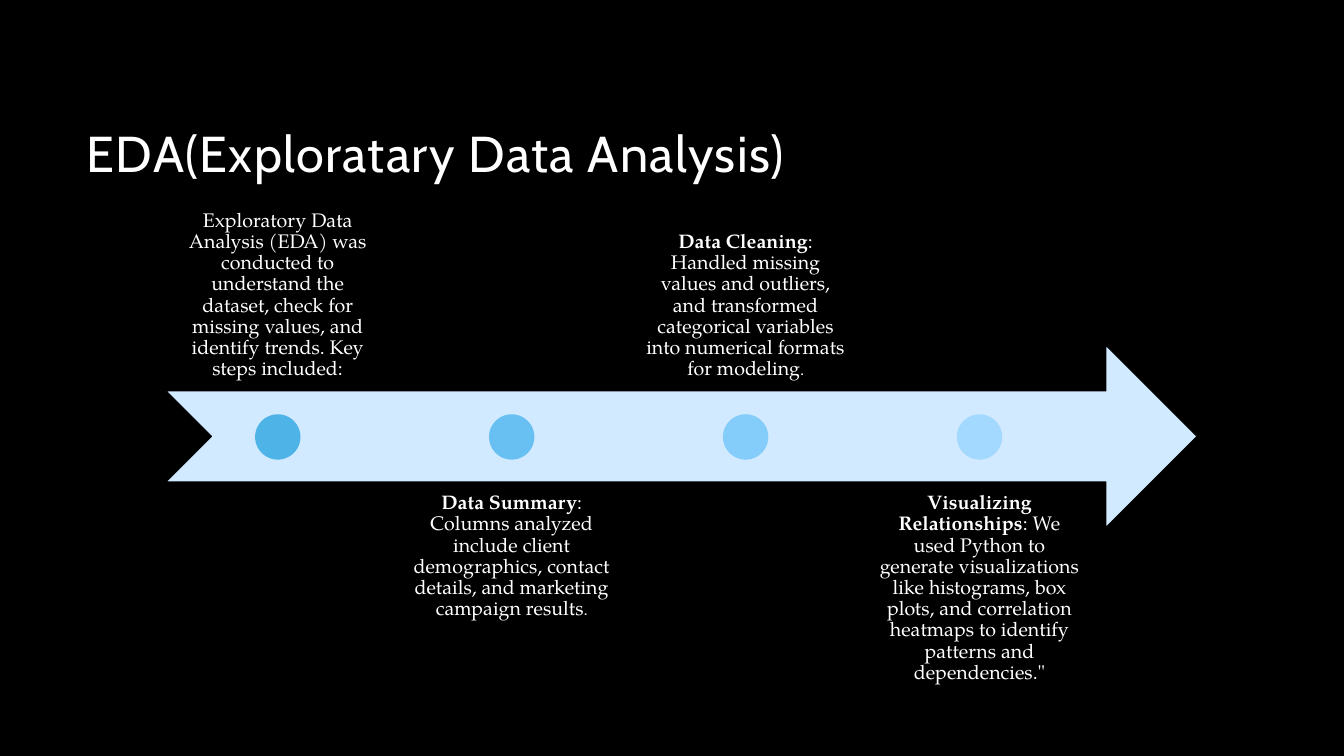
from pptx import Presentation
from pptx.dml.color import RGBColor
from pptx.enum.shapes import MSO_SHAPE
from pptx.enum.text import MSO_ANCHOR, MSO_AUTO_SIZE, PP_ALIGN
from pptx.util import Inches, Pt

ARROW, DOT = MSO_SHAPE.NOTCHED_RIGHT_ARROW, MSO_SHAPE.OVAL
TOP, BOTTOM = MSO_ANCHOR.TOP, MSO_ANCHOR.BOTTOM
LEFT, CENTER = PP_ALIGN.LEFT, PP_ALIGN.CENTER
NO_FIT = MSO_AUTO_SIZE.NONE

COLORS = {"background": "000000", "text": "FFFFFF", "arrow": "D1EAFF"}
HEAD_FONT, BODY_FONT = "Cabin", "TeX Gyre Pagella"

TITLE = "EDA(Exploratary Data Analysis)"
STEPS = [
    ("4EB3E7", "", "Exploratory Data Analysis (EDA) was conducted to understand the "
     "dataset, check for missing values, and identify trends. Key steps included:", ""),
    ("68BFF2", "Data Summary", ": Columns analyzed include client demographics, "
     "contact details, and marketing campaign results", "."),
    ("84CCFA", "Data Cleaning", ": Handled missing values and outliers, and transformed "
     "categorical variables into numerical formats for modeling", "."),
    ("A4D9FF", "Visualizing Relationships", ": We used Python to generate visualizations "
     "like histograms, box plots, and correlation heatmaps to identify patterns and "
     "dependencies.\"", ""),
]

ARROW_LEFT, ARROW_TOP, ARROW_W, ARROW_H = 1.65, 3.43, 10.22, 1.8
TEXT_W, TEXT_H, TEXT_PITCH = 2.21, 1.8, 2.32
TEXT_ABOVE, TEXT_BELOW = 2.08, 4.78
DOT_SIZE, DOT_TOP = 0.45, 4.11
INSET = 0.11


def rgb(hex_color):
    return RGBColor.from_string(hex_color)


def add_run(p, text, size, font, bold=False):
    r = p.add_run()
    r.text = text
    r.font.size = Pt(size)
    r.font.name = font
    r.font.bold = bold
    r.font.color.rgb = rgb(COLORS["text"])
    return r


def set_frame(tf, anchor, align):
    tf.word_wrap = True
    tf.auto_size = NO_FIT
    tf.vertical_anchor = anchor
    p = tf.paragraphs[0]
    p.alignment = align
    p.line_spacing = 0.9
    return p


def add_filled(s, kind, box, color):
    sp = s.shapes.add_shape(kind, *map(Inches, box))
    sp.shadow.inherit = False
    sp.fill.solid()
    sp.fill.fore_color.rgb = rgb(color)
    sp.line.fill.background()
    return sp


def add_step(s, i, color, lead, body, stop):
    left = ARROW_LEFT + i * TEXT_PITCH
    above = i % 2 == 0
    top = TEXT_ABOVE if above else TEXT_BELOW
    tf = s.shapes.add_textbox(*map(Inches, (left, top, TEXT_W, TEXT_H))).text_frame
    tf.margin_left = tf.margin_right = tf.margin_top = tf.margin_bottom = Inches(INSET)
    p = set_frame(tf, BOTTOM if above else TOP, CENTER)
    if lead:
        add_run(p, lead, 14, BODY_FONT, True)
    add_run(p, body, 14, BODY_FONT)
    if stop:
        add_run(p, stop, 13, HEAD_FONT)
    dot_left = left + (TEXT_W - DOT_SIZE) / 2
    add_filled(s, DOT, (dot_left, DOT_TOP, DOT_SIZE, DOT_SIZE), color)


def main():
    prs = Presentation()
    prs.slide_width, prs.slide_height = Inches(13.33), Inches(7.5)
    s = prs.slides.add_slide(prs.slide_layouts[5])
    s.background.fill.solid()
    s.background.fill.fore_color.rgb = rgb(COLORS["background"])

    title = s.shapes.title
    title.left, title.top = Inches(0.76), Inches(0.92)
    title.width, title.height = Inches(10), Inches(0.95)
    p = set_frame(title.text_frame, BOTTOM, LEFT)
    r = add_run(p, TITLE, 36, HEAD_FONT)
    r.font._element.set("spc", "100")

    arrow = add_filled(s, ARROW, (ARROW_LEFT, ARROW_TOP, ARROW_W, ARROW_H), COLORS["arrow"])
    arrow.line.color.rgb = rgb(COLORS["background"])
    arrow.line.width = Pt(0.5)
    for i, step in enumerate(STEPS):
        add_step(s, i, *step)

    prs.save("out.pptx")


if __name__ == "__main__":
    main()
